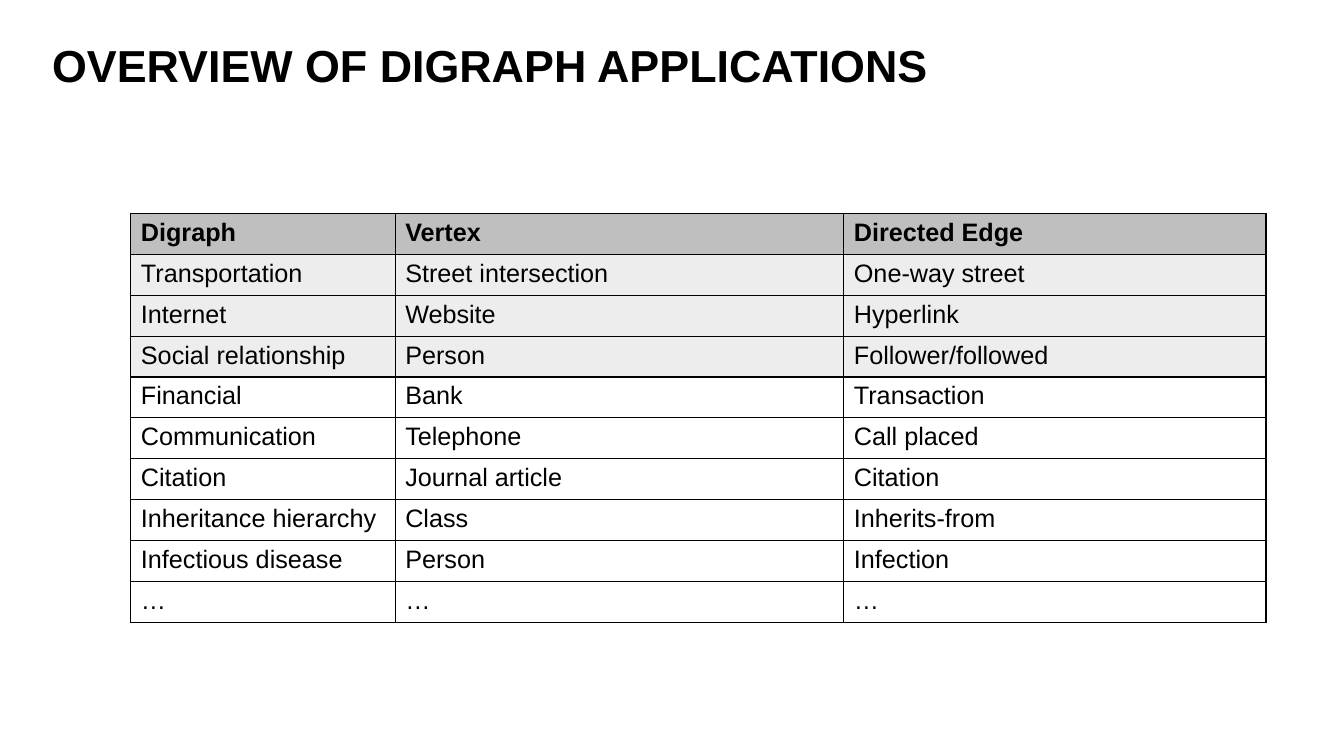
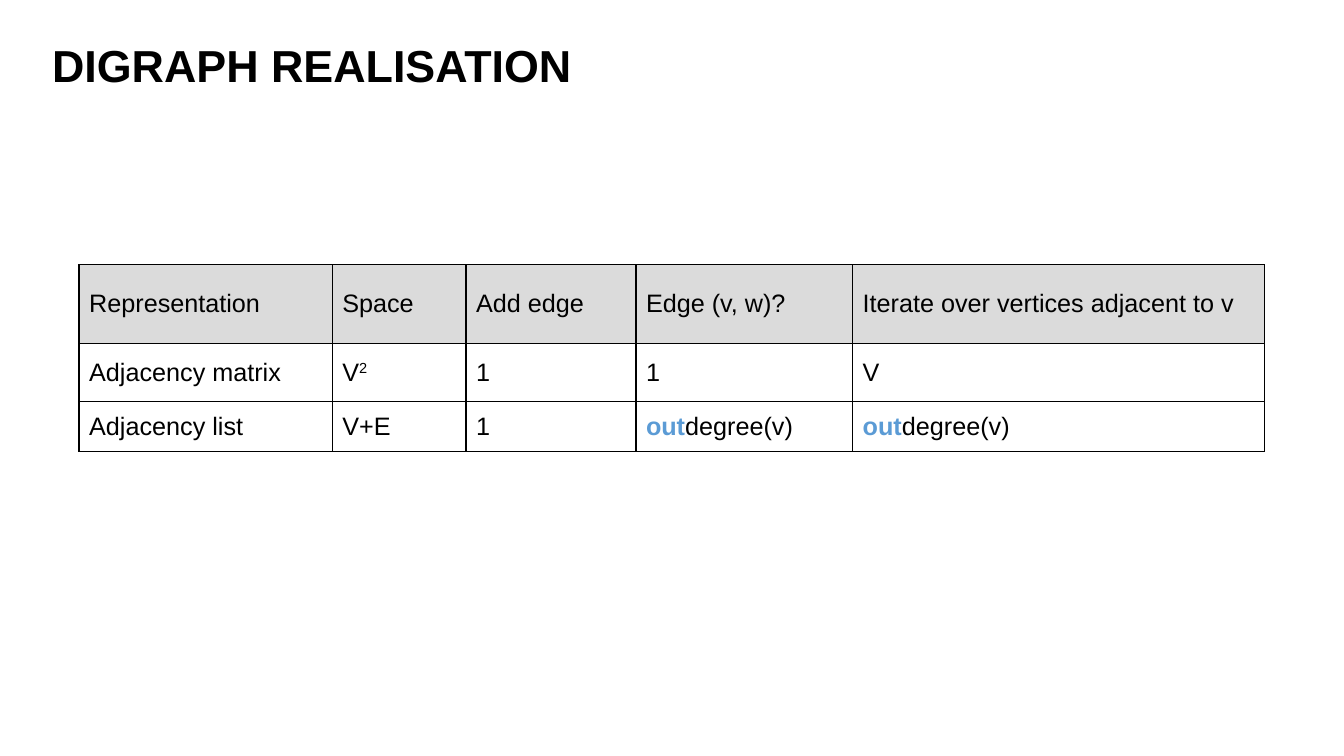
import pptx
import pptx.dml.color
import pptx.enum.text
import pptx.oxml
import pptx.oxml.ns
import pptx.util

Pt = pptx.util.Pt
ANCHOR = pptx.enum.text.MSO_ANCHOR

# Shared style
BLACK, WHITE, BLUE = "000000", "FFFFFF", "5B9BD5"
HEADER_GREY, PALE_GREY, REALISATION_GREY = "BFBFBF", "EDEDED", "DBDBDB"
BODY_FONT = {"name": "Arial", "size": Pt(18), "bold": False}
TITLE_FONT = {"name": "Arial", "size": Pt(32), "bold": True}
TITLE_BOX = {"left": Pt(30), "top": Pt(20), "width": Pt(798), "height": Pt(57)}
TITLE_FRAME = {
    "vertical_anchor": ANCHOR.MIDDLE,
    "word_wrap": True,
    "auto_size": pptx.enum.text.MSO_AUTO_SIZE.NONE,
}
TITLE_PARAGRAPH = {"alignment": pptx.enum.text.PP_ALIGN.LEFT, "line_spacing": 0.9}
PLAIN_TABLE = {"first_row": False, "horz_banding": False}
TITLE_ONLY = 5

# Table content; a cell is a string or a list of (text, style) runs
APPLICATIONS = [
    ["Digraph", "Vertex", "Directed Edge"],
    ["Transportation", "Street intersection", "One-way street"],
    ["Internet", "Website", "Hyperlink"],
    ["Social relationship", "Person", "Follower/followed"],
    ["Financial", "Bank", "Transaction"],
    ["Communication", "Telephone", "Call placed"],
    ["Citation", "Journal article", "Citation"],
    ["Inheritance hierarchy", "Class", "Inherits-from"],
    ["Infectious disease", "Person", "Infection"],
    ["…", "…", "…"],
]
OUTDEGREE = [("out", "accent"), ("degree(v)", "plain")]
REALISATIONS = [
    ["Representation", "Space", "Add edge", "Edge (v, w)?",
     "Iterate over vertices adjacent to v"],
    ["Adjacency matrix", [("V", "plain"), ("2", "superscript")], "1", "1", "V"],
    ["Adjacency list", "V+E", "1", OUTDEGREE, OUTDEGREE],
]


def rgb(value):
    return pptx.dml.color.RGBColor.from_string(value)


def apply(target, values):
    for name, value in values.items():
        setattr(target, name, value)


def format_font(font, values, color=BLACK):
    apply(font, values)
    font.color.rgb = rgb(color)


def add_titled_slide(presentation, text):
    slide = presentation.slides.add_slide(presentation.slide_layouts[TITLE_ONLY])
    title = slide.shapes.title
    apply(title, TITLE_BOX)
    apply(title.text_frame, TITLE_FRAME)
    title.text_frame.text = text
    paragraph = title.text_frame.paragraphs[0]
    apply(paragraph, TITLE_PARAGRAPH)
    format_font(paragraph.runs[0].font, TITLE_FONT)
    return slide


def add_borders(cell):
    properties = cell._tc.get_or_add_tcPr()
    for side in ("lnL", "lnR", "lnT", "lnB"):
        properties.append(pptx.oxml.parse_xml(
            f'<a:{side} {pptx.oxml.ns.nsdecls("a")} w="{Pt(1)}"><a:solidFill>'
            f'<a:srgbClr val="{BLACK}"/></a:solidFill></a:{side}>'))


def write_cell(cell, content, bold):
    runs = [(content, "plain")] if isinstance(content, str) else content
    paragraph = cell.text_frame.paragraphs[0]
    for text, style in runs:
        run = paragraph.add_run()
        run.text = text
        accent = style == "accent"
        format_font(run.font, {**BODY_FONT, "bold": bold or accent},
                    BLUE if accent else BLACK)
        if style == "superscript":
            run._r.get_or_add_rPr().set("baseline", "30000")


def add_grid(slide, rows, left, top, widths, heights, fills,
             anchor=ANCHOR.TOP, bold_header=False):
    """Add a bordered table; fills colour the first rows, the rest are white."""
    table = slide.shapes.add_table(
        len(rows), len(widths), Pt(left), Pt(top),
        Pt(sum(widths)), Pt(sum(heights))).table
    apply(table, PLAIN_TABLE)
    for column, width in zip(table.columns, widths):
        column.width = Pt(width)
    for index, (row, height) in enumerate(zip(table.rows, heights)):
        row.height = Pt(height)
        fill = fills[index] if index < len(fills) else WHITE
        for cell, content in zip(row.cells, rows[index]):
            add_borders(cell)
            cell.fill.solid()
            cell.fill.fore_color.rgb = rgb(fill)
            cell.vertical_anchor = anchor
            write_cell(cell, content, bold_header and index == 0)


def main():
    presentation = pptx.Presentation()
    apply(presentation, {"slide_width": Pt(960), "slide_height": Pt(540)})

    # Applications
    slide = add_titled_slide(presentation, "OVERVIEW OF DIGRAPH APPLICATIONS")
    add_grid(slide, APPLICATIONS, 93.5, 152.5, [188.8, 320.5, 301.5],
             [29.2] * len(APPLICATIONS), [HEADER_GREY] + [PALE_GREY] * 3,
             bold_header=True)

    # Realisation
    slide = add_titled_slide(presentation, "DIGRAPH REALISATION")
    add_grid(slide, REALISATIONS, 56.5, 189, [180.8, 95.6, 121.4, 154.8, 294.4],
             [56.4, 41.5, 35.6], [REALISATION_GREY], anchor=ANCHOR.MIDDLE)

    presentation.save("out.pptx")


if __name__ == "__main__":
    main()
